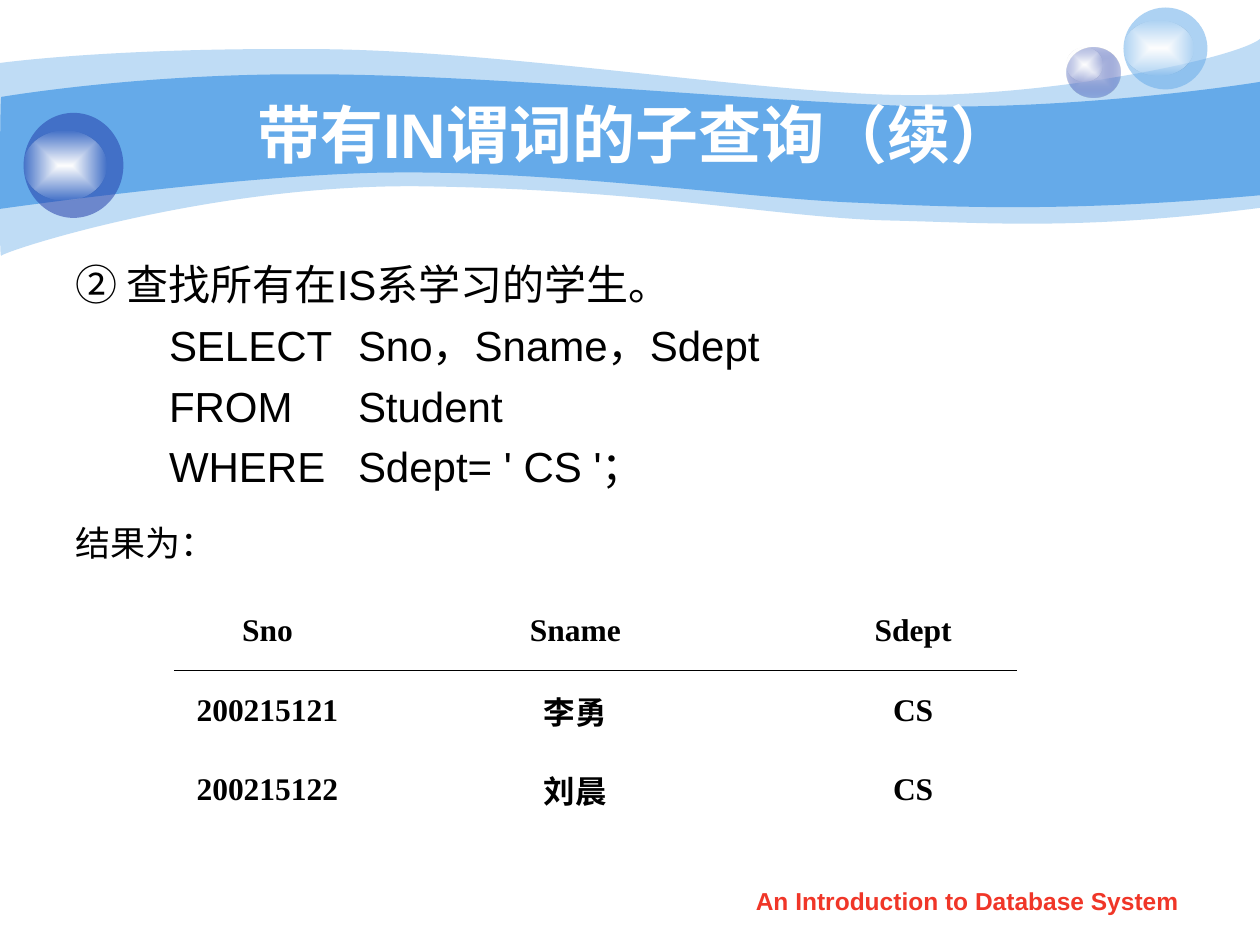
from lxml import etree
from pptx import Presentation
from pptx import util as u
from pptx.dml.color import RGBColor
from pptx.enum import shapes, text
from pptx.oxml.ns import qn

Pt = u.Pt
WHITE = RGBColor(0xFF, 0xFF, 0xFF)
BLACK = RGBColor(0, 0, 0)
SKY = RGBColor(0x65, 0xAA, 0xE9)
NAVY = RGBColor(0x23, 0x3D, 0xA9)
PALE = RGBColor(0xC7, 0xCE, 0xE9)
RED = RGBColor(0xF0, 0x36, 0x28)
MID = text.PP_ALIGN.CENTER

# Each wave: a start point, then Bezier segments (6 numbers) or lines (2)
OUTER = (0, 36), [
    (17.3, 33.8, 77, 27.4, 177.8, 28.1),
    (277.9, 28.1, 414, 50.4, 503.3, 54),
    (591.8, 57.6, 705.6, 33.8, 720, 22.3),
    (720, 118.8),
    (617.8, 131.8, 566.6, 127.4, 507.6, 126),
    (447.8, 124.6, 370.8, 108.7, 247, 106.6),
    (123.8, 103.7, 2.9, 143.3, 0.7, 146.2),
    (-0.7, 149.8, 0, 54, 0, 36)]
INNER = (0.7, 55.4), [
    (1.4, 55.4, 79.2, 41.8, 178.6, 42.5),
    (277.9, 42.5, 428.4, 57.6, 517, 60.5),
    (605.5, 63.4, 702.7, 49.7, 720, 46.8),
    (720, 111.6),
    (614.2, 121, 550.8, 118.8, 491, 115.9),
    (431.3, 113.8, 321.8, 97.9, 228.2, 98.6),
    (146.2, 98.6, -1.4, 119.5, -0.7, 119.5),
    (0, 119.5, 0, 55.4, 0.7, 55.4)]


def bend(shape, parts):
    """Join each three corners of a six-number part into one curve."""
    corners = iter(list(shape._element.iter(qn("a:lnTo"))))
    for part in parts:
        group = [next(corners) for _ in range(len(part) // 2)]
        if len(group) == 3:
            curve = etree.Element(qn("a:cubicBezTo"))
            group[0].addprevious(curve)
            for corner in group:
                curve.append(corner[0])
                corner.getparent().remove(corner)


def fade(node, alpha):
    """Give every colour below node an opacity in percent."""
    for tint in node.iter(qn("a:srgbClr")):
        etree.SubElement(tint, qn("a:alpha"), val=str(alpha * 1000))


def put(para, words, size=18, font="Arial", color=BLACK, bold=False,
        align=None, left=0, hang=0, before=0, space=None):
    """Write words into a paragraph with the given format."""
    run = para.add_run()
    run.text = words
    run.font.size, run.font.name, run.font.bold = Pt(size), font, bold
    run.font.color.rgb = color
    para.alignment = align
    para.space_before = Pt(before)
    if space:
        para.line_spacing = space
    props = para._p.get_or_add_pPr()
    props.set("marL", str(Pt(left)))
    props.set("indent", str(Pt(-hang)))


class Page:
    def __init__(self, deck):
        self.slide = deck.slides.add_slide(deck.slide_layouts[5])
        self.items = self.slide.shapes

    def wave(self, outline, color, alpha=100):
        start, parts = outline
        dots = [(Pt(p[i]), Pt(p[i + 1])) for p in parts for i in range(0, len(p), 2)]
        build = self.items.build_freeform(*map(Pt, start), scale=1.0)
        build.add_line_segments(dots, close=True)
        shape = build.convert_to_shape()
        bend(shape, parts)
        self.paint(shape, color, alpha)

    def paint(self, shape, color, alpha):
        shape.shadow.inherit = False
        shape.line.fill.background()
        shape.fill.solid()
        shape.fill.fore_color.rgb = color
        if alpha < 100:
            fade(shape._element.spPr, alpha)

    def oval(self, box):
        return self.items.add_shape(shapes.MSO_SHAPE.OVAL, *map(Pt, box))

    def disc(self, box, color, alpha):
        self.paint(self.oval(box), color, alpha)

    def glow(self, box, core, rim, alpha):
        shape = self.oval(box)
        shape.shadow.inherit = False
        shape.line.fill.background()
        shape.fill.gradient()
        for stop, color in zip(shape.fill.gradient_stops, (core, rim)):
            stop.color.rgb = color
        grad = shape._element.spPr.find(qn("a:gradFill"))
        fade(grad.findall(".//" + qn("a:gs"))[1], alpha)
        rect = etree.Element(qn("a:path"), path="rect")
        etree.SubElement(rect, qn("a:fillToRect"),
                         {side: "50000" for side in "ltrb"})
        grad.replace(grad.find(qn("a:lin")), rect)

    def title(self, words, box, **style):
        head = self.items.title
        head.left, head.top, head.width, head.height = map(Pt, box)
        frame = head.text_frame
        frame.auto_size = text.MSO_AUTO_SIZE.NONE
        frame.vertical_anchor = text.MSO_ANCHOR.MIDDLE
        put(frame.paragraphs[0], words, **style)
        self.items._spTree.append(head._element)  # in front of the waves

    def text(self, lines, box):
        frame = self.items.add_textbox(*map(Pt, box)).text_frame
        frame.word_wrap = True
        for i, (words, style) in enumerate(lines):
            para = frame.add_paragraph() if i else frame.paragraphs[0]
            put(para, words, **style)

    def table(self, rows, spot, widths, height):
        box = (*spot, sum(widths), height * len(rows))
        grid = self.items.add_table(len(rows), len(widths), *map(Pt, box)).table
        grid.first_row = grid.horz_banding = False
        for col, width in zip(grid.columns, widths):
            col.width = Pt(width)
        for r, row in enumerate(rows):
            for c, words in enumerate(row):
                cell = grid.cell(r, c)
                cell.fill.background()
                cell.vertical_anchor = text.MSO_ANCHOR.MIDDLE
                put(cell.text_frame.paragraphs[0], words,
                    font="Times New Roman", bold=True, align=MID)

    def rule(self, x1, x2, y):
        line = self.items.add_connector(shapes.MSO_CONNECTOR.STRAIGHT,
                                        Pt(x1), Pt(y), Pt(x2), Pt(y))
        line.line.color.rgb = BLACK
        line.line.width = Pt(0.75)
        etree.SubElement(line._element.spPr, qn("a:effectLst"))


def main():
    deck = Presentation()
    deck.slide_width, deck.slide_height = Pt(720), Pt(540)
    page = Page(deck)

    # Waves and bubbles
    page.wave(OUTER, SKY, 41)
    page.wave(INNER, SKY)
    page.glow((609.5, 27, 31, 29), PALE, NAVY, 31)
    page.glow((609.5, 27, 20.5, 19.5), WHITE, WHITE, 0)
    page.disc((642, 4.3, 48, 46.8), SKY, 53)
    page.glow((642, 12, 40, 31), WHITE, WHITE, 0)
    page.disc((13.5, 64.5, 57, 60), NAVY, 53)
    page.glow((13.5, 74.5, 47.5, 40), WHITE, WHITE, 0)

    # Footer and title
    page.text([("An Introduction to Database System",
                dict(size=14, color=RED, bold=True, align=MID))],
              (411, 502.5, 283.6, 25))
    page.title("带有IN谓词的子查询（续）", (72, 54, 582, 44.6),
               size=36, color=WHITE, bold=True, align=MID)

    # Question and query; the default tab stops line up the second column
    lead = dict(size=24, before=6, left=27, hang=27)
    code = dict(size=24, before=6, left=53.5)
    page.text([
        ("② 查找所有在IS系学习的学生。", lead),
        ("SELECT\tSno，Sname，Sdept", code),
        ("FROM\t\tStudent", code),
        ("WHERE\tSdept= ' CS '；", code),
        ("结果为：", dict(lead, size=20, before=5, space=1.5)),
    ], (36, 144, 517, 183))

    # Result
    page.table([("Sno", "Sname", "Sdept"),
                ("200215121", "李勇", "CS"),
                ("200215122", "刘晨", "CS")],
               (70.8, 337.9), (164, 188, 198), 45.4)
    page.rule(99.4, 581, 383.2)

    deck.save("out.pptx")


if __name__ == "__main__":
    main()
